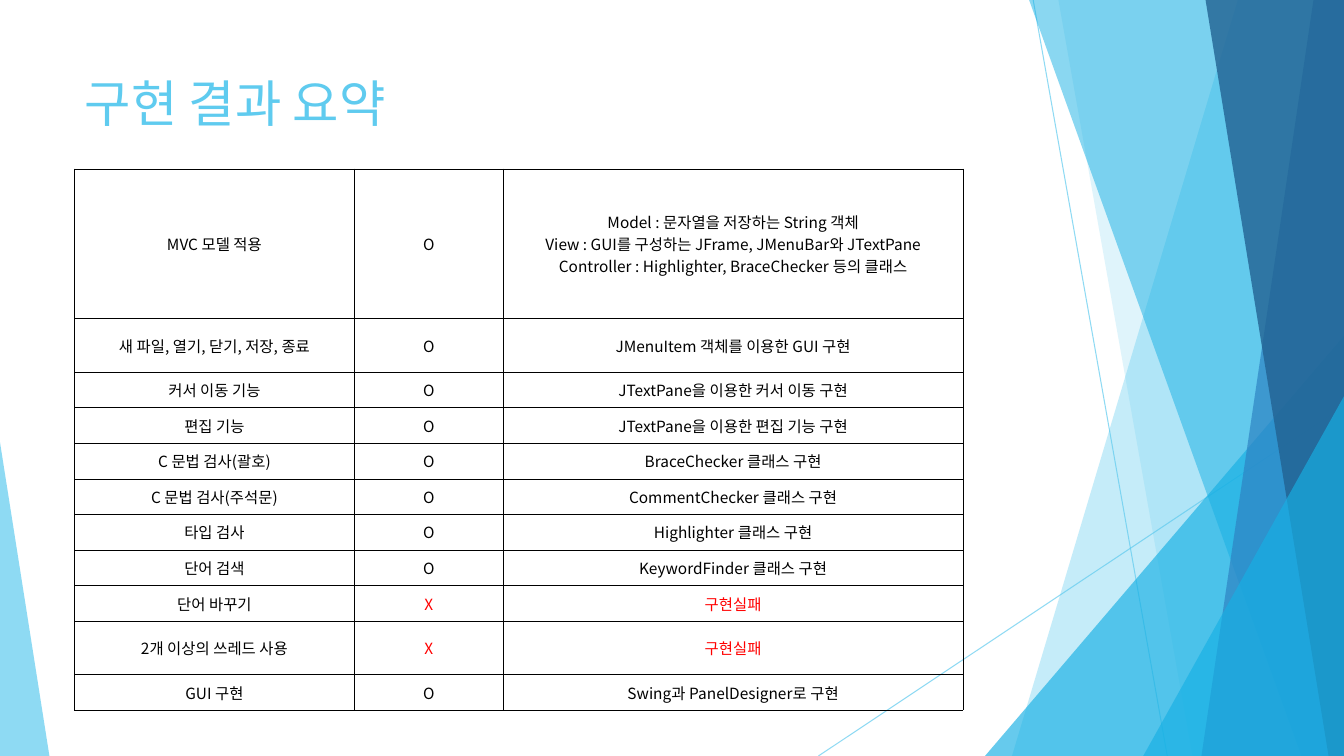
"""Build the slide that sums up which features were implemented."""
from pptx import Presentation, util as u
from pptx.dml.color import RGBColor
from pptx.enum import shapes, text
from pptx.oxml import ns, xmlchemy as xml

Pt = u.Pt
FONT = "Noto Sans CJK KR"
BLACK = RGBColor(0, 0, 0)
RED = RGBColor(0xFF, 0, 0)
SKY = RGBColor(0x5F, 0xCB, 0xEF)
CYAN = RGBColor(0x17, 0xB0, 0xE4)
BLUE = RGBColor(0x2E, 0x83, 0xC3)
NAVY = RGBColor(0x22, 0x62, 0x92)
WIDE, HIGH = 960, 540


def fade(fill, alpha):
    tint = fill._xPr.find(".//" + ns.qn("a:srgbClr"))
    node = tint.makeelement(ns.qn("a:alpha"), {"val": str(alpha * 1000)})
    tint.append(node)


def write(para, words, size, color):
    run = para.add_run()
    run.text = words
    run.font.size = Pt(size)
    run.font.bold = False
    run.font.name = FONT
    run.font.color.rgb = color
    east = xml.OxmlElement("a:ea")
    east.set("typeface", FONT)
    run.font._element.find(ns.qn("a:latin")).addnext(east)


deck = Presentation()
deck.slide_width, deck.slide_height = Pt(WIDE), Pt(HIGH)
slide = deck.slides.add_slide(deck.slide_layouts[5])
items = slide.shapes

for x1, y1, x2, y2 in [(738, 0, 833.8, HIGH), (WIDE, 290, 584.6, HIGH)]:
    line = items.add_connector(shapes.MSO_CONNECTOR.STRAIGHT, Pt(x1), Pt(y1), Pt(x2), Pt(y2))
    line.line.color.rgb = SKY
    line.line.width = Pt(0.75)
    fade(line.line.fill, 70)
    line._element.spPr.append(xml.OxmlElement("a:effectLst"))

decor = [
    ("band", (884.2, 722.9), SKY, 36),
    ("band", (756, 851.8), SKY, 20),
    ("peak", (703.6, 239.8, 256.4, 1), CYAN, 66),
    ("band", (735.1, 929.5), CYAN, 50),
    ("band", (938.2, 858.2), BLUE, 70),
    ("band", (861.1, 949), NAVY, 80),
    ("peak", (816.6, 283, 143.4, 1), CYAN, 66),
    ("peak", (0, 316, 35.3, 0), SKY, 70),
]
for kind, place, color, alpha in decor:
    if kind == "band":
        top, base = place
        pen = items.build_freeform(Pt(top), 0)
        pen.add_line_segments([(Pt(WIDE), 0), (Pt(WIDE), Pt(HIGH)), (Pt(base), Pt(HIGH))])
        shape = pen.convert_to_shape()
    else:
        left, top, width, tip = place
        shape = items.add_shape(shapes.MSO_SHAPE.ISOSCELES_TRIANGLE,
                                Pt(left), Pt(top), Pt(width), Pt(HIGH - top))
        shape.adjustments[0] = tip
    shape.shadow.inherit = False
    shape.fill.solid()
    shape.fill.fore_color.rgb = color
    fade(shape.fill, alpha)
    shape.line.fill.background()

title = items.title
title.left, title.top, title.width, title.height = Pt(53.3), Pt(48), Pt(676.8), Pt(104)
items._spTree.append(title._element)
frame = title.text_frame
frame.vertical_anchor = text.MSO_ANCHOR.TOP
frame.paragraphs[0].alignment = text.PP_ALIGN.LEFT
write(frame.paragraphs[0], "구현 결과 요약", 36, SKY)

rows = [
    (107.1, "MVC 모델 적용", "O",
     "Model : 문자열을 저장하는 String 객체\n"
     "View : GUI를 구성하는 JFrame, JMenuBar와 JTextPane\n"
     "Controller : Highlighter, BraceChecker 등의 클래스"),
    (38.2, "새 파일, 열기, 닫기, 저장, 종료", "O", "JMenuItem 객체를 이용한 GUI 구현"),
    (25.4, "커서 이동 기능", "O", "JTextPane을 이용한 커서 이동 구현"),
    (25.4, "편집 기능", "O", "JTextPane을 이용한 편집 기능 구현"),
    (25.4, "C 문법 검사(괄호)", "O", "BraceChecker 클래스 구현"),
    (25.4, "C 문법 검사(주석문)", "O", "CommentChecker 클래스 구현"),
    (25.4, "타입 검사", "O", "Highlighter 클래스 구현"),
    (25.4, "단어 검색", "O", "KeywordFinder 클래스 구현"),
    (25.4, "단어 바꾸기", "X", "구현실패"),
    (38.2, "2개 이상의 쓰레드 사용", "X", "구현실패"),
    (25.4, "GUI 구현", "O", "Swing과 PanelDesigner로 구현"),
]
widths = [199.8, 106.4, 328.4]
table = items.add_table(len(rows), len(widths), Pt(53.3), Pt(120.5),
                        Pt(sum(widths)), Pt(sum(row[0] for row in rows))).table
table.first_row = table.horz_banding = False
for col, width in zip(table.columns, widths):
    col.width = Pt(width)
for row, (height, *words) in zip(table.rows, rows):
    row.height = Pt(height)
    for col, (cell, entry) in enumerate(zip(row.cells, words)):
        cell.margin_left = cell.margin_right = Pt(5.1)
        cell.margin_top = cell.margin_bottom = Pt(1.4)
        cell.vertical_anchor = text.MSO_ANCHOR.MIDDLE
        color = RED if col and words[1] == "X" else BLACK
        for k, part in enumerate(entry.split("\n")):
            para = cell.text_frame.add_paragraph() if k else cell.text_frame.paragraphs[0]
            para.alignment = text.PP_ALIGN.CENTER
            write(para, part, 11, color)
        props = cell._tc.get_or_add_tcPr()
        for side in ("a:lnL", "a:lnR", "a:lnT", "a:lnB"):
            edge = xml.OxmlElement(side)
            edge.set("w", str(Pt(0.28)))
            solid = xml.OxmlElement("a:solidFill")
            tint = xml.OxmlElement("a:srgbClr")
            tint.set("val", str(BLACK))
            solid.append(tint)
            edge.append(solid)
            props.append(edge)
        cell.fill.background()

deck.save("out.pptx")
